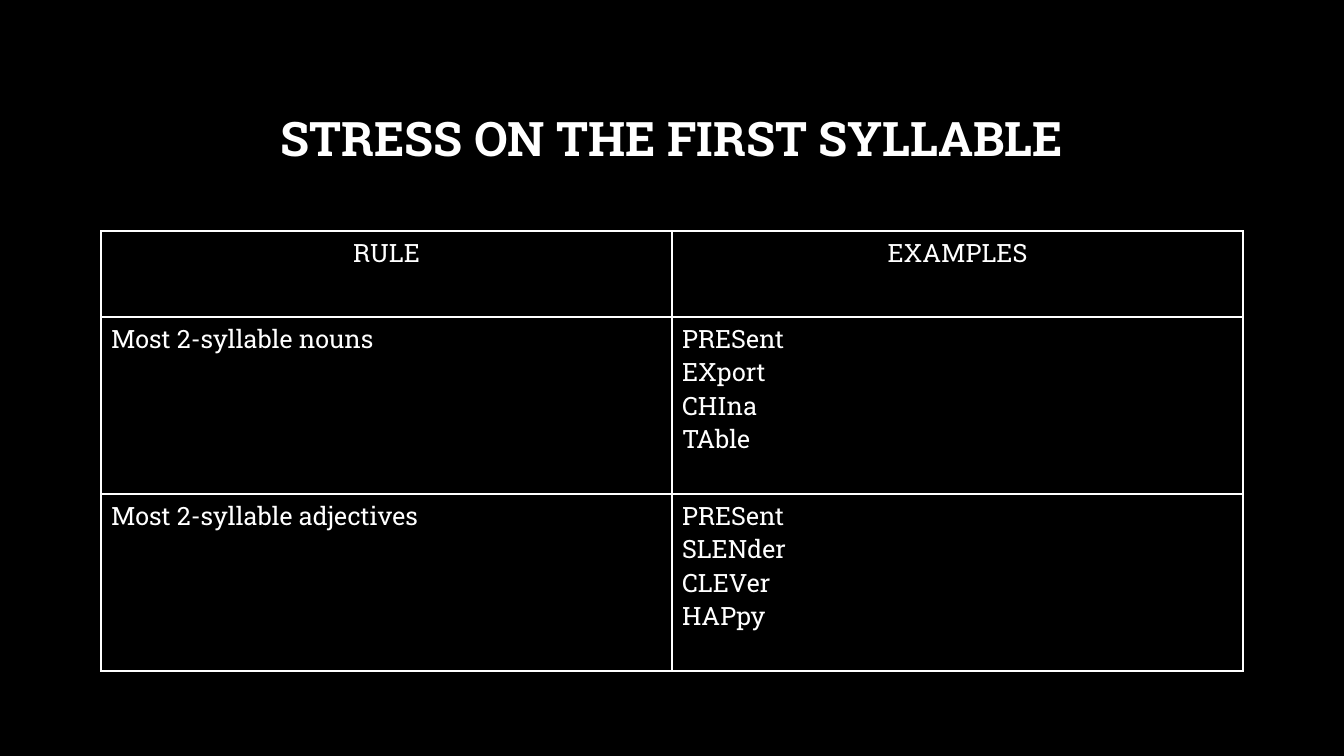
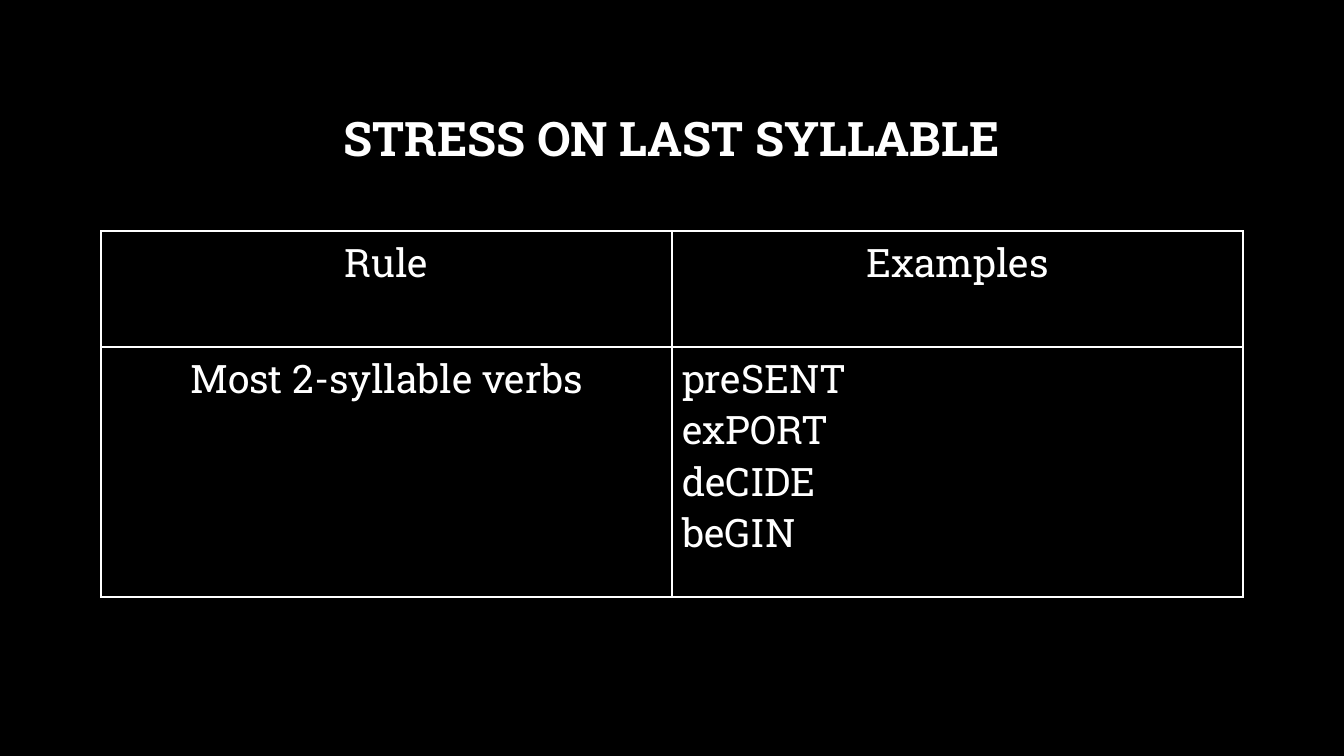
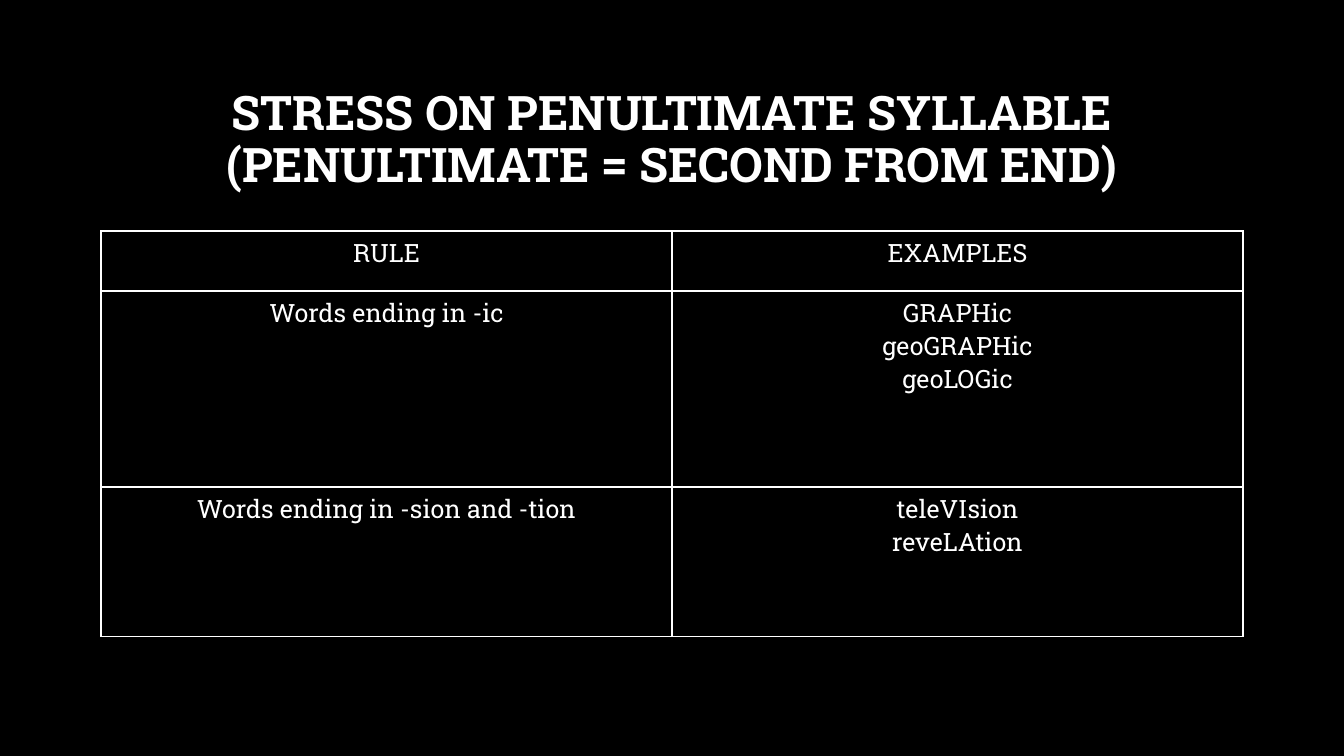
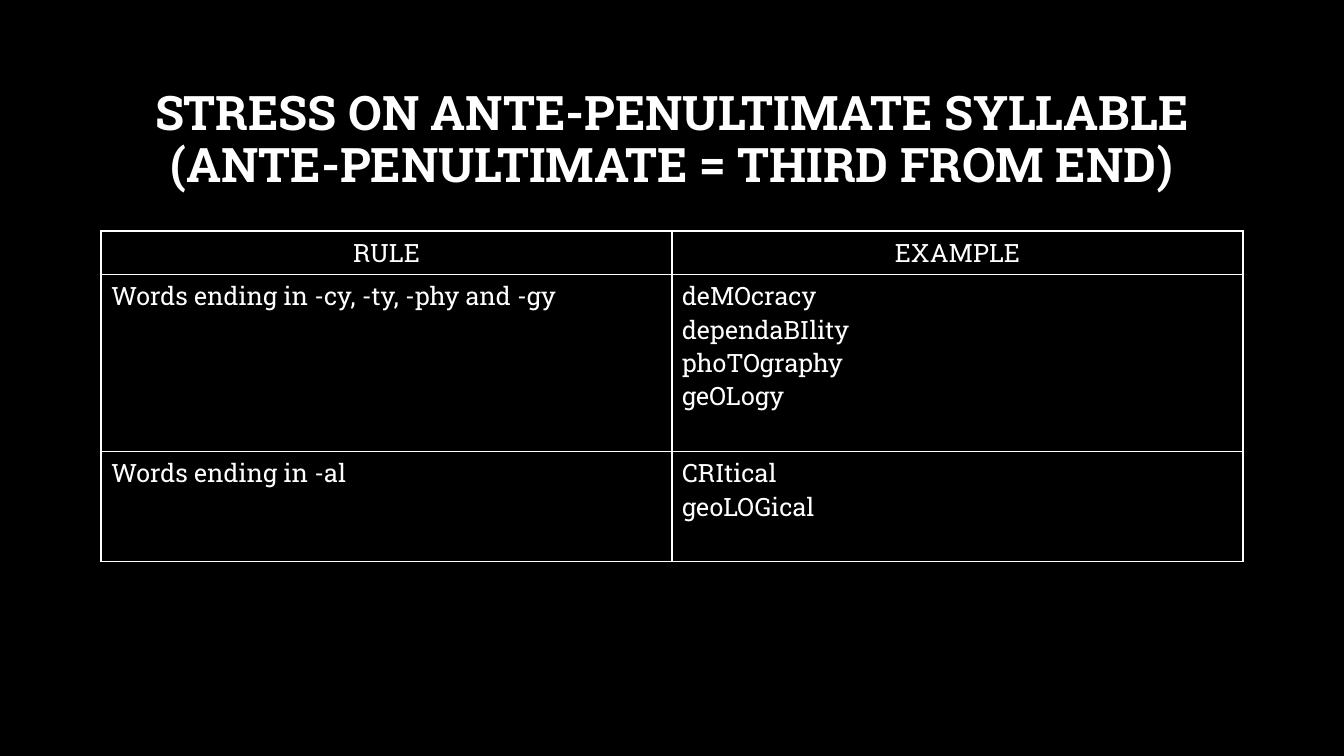
from lxml import etree
from pptx import Presentation
from pptx import util as u
from pptx.dml import color
from pptx.enum import text
from pptx.oxml import ns

EMU_PER_PX = 12192000 / 1344
FONT = "Roboto Slab"
BLACK, WHITE = "000000", "FFFFFF"
LEFT, CENTER = text.PP_ALIGN.LEFT, text.PP_ALIGN.CENTER
CONTENT_LEFT, COLUMN_WIDTH = 101, 571
TITLE_TOP, TITLE_HEIGHT, TABLE_TOP = 68, 146, 231


def px(length):
    return u.Emu(round(length * EMU_PER_PX))


def rgb(hex_color):
    return color.RGBColor.from_string(hex_color)


def paint(fill, hex_color):
    fill.solid()
    fill.fore_color.rgb = rgb(hex_color)


def style_text(text_frame, size, bold, alignment):
    for paragraph in text_frame.paragraphs:
        paragraph.alignment = alignment
        for run in paragraph.runs:
            run.font.name = FONT
            run.font.size = u.Pt(size)
            run.font.bold = bold
            run.font.color.rgb = rgb(WHITE)


def prepare_layout(presentation):
    paint(presentation.slide_master.background.fill, BLACK)
    layout = presentation.slide_layouts.get_by_name("Title Only")
    title = layout.placeholders[0]
    title.left, title.top = px(CONTENT_LEFT), px(TITLE_TOP)
    title.width, title.height = px(2 * COLUMN_WIDTH), px(TITLE_HEIGHT)
    title.text_frame.vertical_anchor = text.MSO_ANCHOR.MIDDLE
    title.text_frame.auto_size = text.MSO_AUTO_SIZE.NONE
    return layout


def add_title(slide, wording):
    text_frame = slide.shapes.title.text_frame
    text_frame.text = wording
    style_text(text_frame, 34, True, CENTER)
    text_frame.paragraphs[0].line_spacing = 0.9


def add_borders(cell):
    properties = cell._tc.get_or_add_tcPr()
    for side in ("lnL", "lnR", "lnT", "lnB"):
        line = etree.SubElement(properties, ns.qn(f"a:{side}"), w=str(u.Pt(1)))
        fill = etree.SubElement(line, ns.qn("a:solidFill"))
        etree.SubElement(fill, ns.qn("a:srgbClr"), val=WHITE)


def add_rule_table(slide, rows, heights, size, alignments):
    frame = slide.shapes.add_table(
        len(rows), 2, px(CONTENT_LEFT), px(TABLE_TOP),
        px(2 * COLUMN_WIDTH), px(sum(heights)))
    table = frame.table
    table.first_row = table.horz_banding = False
    for column in table.columns:
        column.width = px(COLUMN_WIDTH)
    for row_index, (row, height) in enumerate(zip(rows, heights)):
        table.rows[row_index].height = px(height)
        for column_index, wording in enumerate(row):
            cell = table.cell(row_index, column_index)
            add_borders(cell)
            paint(cell.fill, BLACK)
            cell.text_frame.text = wording
            alignment = alignments[column_index] if row_index else CENTER
            style_text(cell.text_frame, size, False, alignment)


def add_rule_slide(presentation, layout, title, rows, heights,
                   size=18, alignments=(LEFT, LEFT)):
    slide = presentation.slides.add_slide(layout)
    add_title(slide, title)
    add_rule_table(slide, rows, heights, size, alignments)


def main():
    presentation = Presentation()
    presentation.slide_width, presentation.slide_height = px(1344), px(756)
    layout = prepare_layout(presentation)

    add_rule_slide(
        presentation, layout, "STRESS ON THE FIRST SYLLABLE",
        [("RULE", "EXAMPLES"),
         ("Most 2-syllable nouns", "PRESent\nEXport\nCHIna\nTAble"),
         ("Most 2-syllable adjectives", "PRESent\nSLENder\nCLEVer\nHAPpy")],
        (86, 177, 177))
    add_rule_slide(
        presentation, layout, "STRESS ON LAST SYLLABLE",
        [("Rule", "Examples"),
         ("Most 2-syllable verbs", "preSENT\nexPORT\ndeCIDE\nbeGIN")],
        (116, 250), size=28, alignments=(CENTER, LEFT))
    add_rule_slide(
        presentation, layout,
        "STRESS ON PENULTIMATE SYLLABLE (PENULTIMATE = SECOND FROM END)",
        [("RULE", "EXAMPLES"),
         ("Words ending in -ic", "GRAPHic\ngeoGRAPHic\ngeoLOGic"),
         ("Words ending in -sion and -tion", "teleVIsion\nreveLAtion")],
        (60, 196, 150), alignments=(CENTER, CENTER))
    add_rule_slide(
        presentation, layout,
        "STRESS ON ANTE-PENULTIMATE SYLLABLE (ANTE-PENULTIMATE = THIRD FROM END)",
        [("RULE", "EXAMPLE"),
         ("Words ending in -cy, -ty, -phy and -gy",
          "deMOcracy\ndependaBIlity\nphoTOgraphy\ngeOLogy"),
         ("Words ending in -al", "CRItical\ngeoLOGical")],
        (43, 177, 110))

    presentation.save("out.pptx")


if __name__ == "__main__":
    main()
